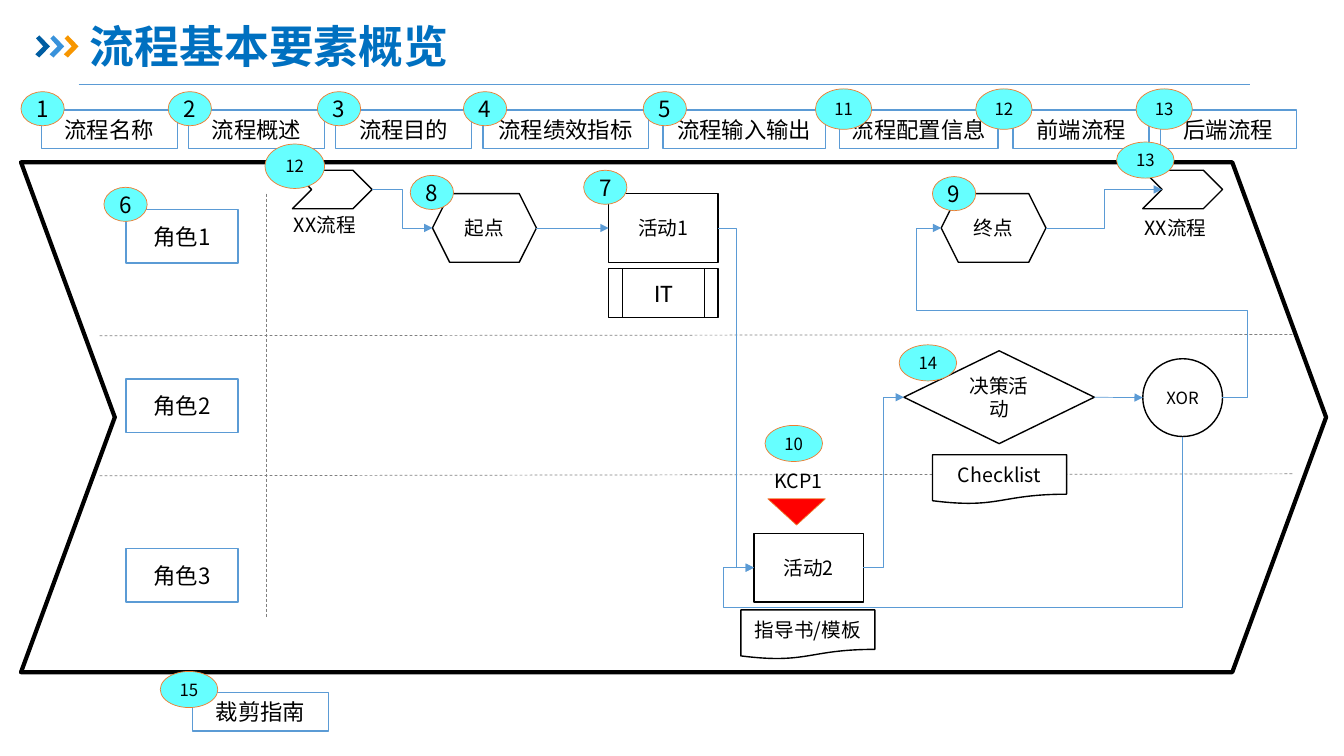
from dataclasses import dataclass
from lxml.etree import SubElement
from pptx import Presentation
from pptx.dml.color import RGBColor
from pptx.enum.dml import MSO_LINE
from pptx.enum.shapes import MSO_CONNECTOR, MSO_SHAPE
from pptx.enum.text import MSO_ANCHOR, MSO_AUTO_SIZE, PP_ALIGN
from pptx.oxml.ns import qn
from pptx.util import Cm, Pt


@dataclass(frozen=True)
class Theme:
    """Colours, fonts and type sizes."""
    black: str = "000000"
    white: str = "FFFFFF"
    title: str = "0070C0"
    blue: str = "5B9BD5"
    gray: str = "808080"
    cyan: str = "66FFFF"
    rust: str = "ED7D31"
    red: str = "FF0000"
    arrows: tuple = ("005DA2", "3992DB", "F79600")
    font: str = "Noto Sans CJK SC"
    latin: str = "Calibri"
    head: int = 32
    large: int = 18
    body: int = 16
    node: int = 14
    small: int = 12


T = Theme()
SMALL, WIDE, TALL = (1.09, 0.86), (1.45, 0.91), (1.42, 1.02)


def tint(hue):
    """Turn a hex string into a colour."""
    return RGBColor.from_string(hue)


def write(frame, text, size, hue=T.black, font=T.font, align=PP_ALIGN.CENTER, bold=False, pad=None):
    """Fill a text frame with one formatted paragraph."""
    look = {"word_wrap": True, "vertical_anchor": MSO_ANCHOR.MIDDLE}
    if pad is not None:
        look.update(margin_left=pad, margin_right=pad)
    for key, value in look.items():
        setattr(frame, key, value)
    para = frame.paragraphs[0]
    para.alignment = align
    run = para.add_run()
    run.text = text
    for key, value in {"size": Pt(size), "name": font, "bold": bold}.items():
        setattr(run.font, key, value)
    run.font.color.rgb = tint(hue)
    SubElement(run.font._element, qn("a:ea")).set("typeface", font)
    return para


def paint(shape, fill=T.white, line=T.black, width=1):
    """Set fill and outline, and drop the shadow."""
    shape.shadow.inherit = False
    if fill:
        shape.fill.solid()
        shape.fill.fore_color.rgb = tint(fill)
    else:
        shape.fill.background()
    if line:
        shape.line.color.rgb = tint(line)
        shape.line.width = Pt(width)
    else:
        shape.line.fill.background()


def block(slide, kind, box, text="", size=T.node, font=T.font, pad=None, **look):
    """Add a preset shape with centred text."""
    shape = slide.shapes.add_shape(kind, *map(Cm, box))
    paint(shape, **look)
    if text:
        write(shape.text_frame, text, size, font=font, pad=pad)
    return shape


def badge(slide, num, x, y, dims=None):
    """Add a numbered oval, wider for two digits."""
    one = len(num) == 1
    dims = dims or (SMALL if one else WIDE)
    block(slide, MSO_SHAPE.FLOWCHART_CONNECTOR, (x, y, *dims), num,
          T.body if one else T.small, pad=0, fill=T.cyan, line=T.rust, width=0.5)


def label(slide, text, x, y, align=PP_ALIGN.LEFT):
    """Add a small caption."""
    area = slide.shapes.add_textbox(*map(Cm, (x, y, 2.46, 0.86)))
    write(area.text_frame, text, T.node, align=align)


def style(link, hue, dash=None, arrow=False):
    """Format a line, with an arrowhead if asked."""
    for key, value in {"width": Pt(0.5), "dash_style": dash}.items():
        setattr(link.line, key, value)
    link.line.color.rgb = tint(hue)
    props = link.element.spPr
    if arrow:
        SubElement(props.find(qn("a:ln")), qn("a:tailEnd")).set("type", "triangle")
    SubElement(props, qn("a:effectLst"))


def rule(slide, ends, hue, dash=None):
    """Draw a plain straight line."""
    style(slide.shapes.add_connector(MSO_CONNECTOR.STRAIGHT, *map(Cm, ends)), hue, dash)


def site(shape, side):
    """Give the joint number of a side for the shape's outline."""
    rings = {MSO_SHAPE.HEXAGON: {1: 3, 3: 0},
             MSO_SHAPE.FLOWCHART_CONNECTOR: {1: 2, 2: 4, 3: 6}}
    return str(rings.get(shape.auto_shape_type, {}).get(side, side))


def join(slide, start, out, goal, bent=True, bends=(), turn=False):
    """Link one side of a node to the left of the next."""
    kind = MSO_CONNECTOR.ELBOW if bent else MSO_CONNECTOR.STRAIGHT
    link = slide.shapes.add_connector(kind, 0, 0, 0, 0)
    link.begin_connect(start, out)
    link.end_connect(goal, 1)
    joints = link.element.nvCxnSpPr.cNvCxnSpPr
    joints.stCxn.set("idx", site(start, out))
    joints.endCxn.set("idx", site(goal, 1))
    if goal.auto_shape_type == MSO_SHAPE.CHEVRON:
        link.end_x = goal.left + goal.height // 2
    props = link.element.spPr
    if bends:
        geom = props.find(qn("a:prstGeom"))
        geom.set("prst", f"bentConnector{len(bends) + 2}")
        for num, bend in enumerate(bends, 1):
            guide = SubElement(geom.find(qn("a:avLst")), qn("a:gd"))
            guide.set("name", f"adj{num}")
            guide.set("fmla", f"val {bend}")
    if turn:
        wide, high = link.width, link.height
        place = {"left": link.left + (wide - high) // 2, "top": link.top + (high - wide) // 2,
                 "width": high, "height": wide}
        for key, value in place.items():
            setattr(link, key, value)
        frame = props.find(qn("a:xfrm"))
        frame.attrib.pop("flipH", None)
        frame.set("rot", "5400000")
    style(link, T.blue, arrow=True)


def header(slide, box):
    """Place the title, its rule and the three arrows."""
    x, y, w, h = box
    rule(slide, (x + 1.09, y + 1.65, x + 30.61, y + 1.65), T.blue)
    marks = ((0.02, 0.08), (0.1, 0), (0.37, 0.28), (0.1, 0.56), (0, 0.48), (0.2, 0.28))
    for step, hue in enumerate(T.arrows):
        dots = [(Cm(x + 0.36 * step + a), Cm(y + 0.41 + b)) for a, b in marks]
        path = slide.shapes.build_freeform(*dots[0])
        path.add_line_segments(dots[1:])
        paint(path.convert_to_shape(), fill=hue, line=None)
    title = slide.shapes.title
    place = {"left": x + 1.12, "top": y, "width": w - 1.12, "height": h}
    for key, value in place.items():
        setattr(title, key, Cm(value))
    title.text_frame.auto_size = MSO_AUTO_SIZE.NONE
    para = write(title.text_frame, "流程基本要素概览", T.head, T.title,
                 align=PP_ALIGN.LEFT, bold=True)
    para.line_spacing = 0.9


def strip(slide, box, items):
    """Place a row of boxes, each with a badge on its corner."""
    x, y, w, h = box
    for num, text, left, wide, shift, dims in items:
        block(slide, MSO_SHAPE.RECTANGLE, (x + left, y, wide, h), text, T.body, line=T.blue)
    for num, text, left, wide, shift, dims in items:
        badge(slide, num, x + left - shift, y - (0.46 if dims == SMALL else 0.53), dims)


def lanes(slide, box):
    """Place the role boxes and the dashed dividers."""
    x, y, w, h = box
    for a, b, c, d in ((1.98, 7.9, 32.06, 7.85), (1.98, 4.37, 32.06, 4.34),
                       (6.18, 0.79, 6.18, 11.48)):
        rule(slide, (x + a, y + b, x + c, y + d), T.gray, MSO_LINE.DASH)
    for row in range(3):
        block(slide, MSO_SHAPE.RECTANGLE, (x + 2.65, y + 1.19 + 4.27 * row, 2.82, 1.35),
              f"角色{row + 1}", T.body, line=T.blue)


def flow(slide, box):
    """Place the nodes, links, outer frame and badges."""
    x, y, w, h = box
    S = MSO_SHAPE
    nodes = {
        "enter": (S.CHEVRON, 6.84, 0.2, 2.01, 0.97, ""),
        "start": (S.HEXAGON, 10.37, 0.79, 2.62, 1.73, "起点"),
        "first": (S.FLOWCHART_PROCESS, 14.81, 0.79, 2.76, 1.73, "活动1"),
        "next": (S.FLOWCHART_PROCESS, 18.47, 9.35, 2.76, 1.73, "活动2"),
        "end": (S.HEXAGON, 23.19, 0.79, 2.64, 1.73, "终点"),
        "leave": (S.CHEVRON, 28.27, 0.2, 2.01, 0.97, ""),
        "choice": (S.FLOWCHART_DECISION, 22.25, 4.75, 4.8, 2.34, "决策活动"),
        "gate": (S.FLOWCHART_CONNECTOR, 28.27, 4.95, 2.01, 1.96, "XOR", T.small),
        "guide": (S.FLOWCHART_DOCUMENT, 18.14, 11.28, 3.38, 1.24, "指导书/模板"),
        "tool": (S.FLOWCHART_PREDEFINED_PROCESS, 14.81, 2.67, 2.76, 1.24, "IT", T.large, T.latin),
        "check": (S.FLOWCHART_DOCUMENT, 22.97, 7.37, 3.38, 1.24, "Checklist"),
    }
    made = {name: block(slide, kind, (x + a, y + b, c, d), *text)
            for name, (kind, a, b, c, d, *text) in nodes.items()}
    label(slide, "XX流程", x + 6.63, y + 1.14)
    label(slide, "XX流程", x + 28.07, y + 1.22)
    label(slide, "KCP1", x + 18.37, y + 7.59, PP_ALIGN.CENTER)
    flag = block(slide, S.FLOWCHART_EXTRACT, (x + 18.82, y + 8.48, 1.45, 0.66),
                 fill=T.red, line=T.rust, width=0.5)
    flag.rotation = 180
    for start, out, goal, *rest in (
            ("start", 3, "first", False), ("first", 3, "next"), ("next", 3, "choice"),
            ("choice", 3, "gate", False), ("gate", 3, "end", True, (-8900, 51300, 108900)),
            ("gate", 2, "next", True, (129900, 107100), True),
            ("end", 3, "leave"), ("enter", 3, "start")):
        join(slide, made[start], out, made[goal], *rest)
    frame = block(slide, S.CHEVRON, box, fill=None, width=3)
    frame.adjustments[0] = 0.184
    for num, a, b, *dims in (
            ("6", 2.09, 0.63), ("12", 6.15, -0.46, (1.5, 1.12)), ("8", 9.81, 0.33),
            ("7", 14.18, 0.2), ("9", 22.97, 0.36), ("13", 27.61, -0.51),
            ("10", 18.75, 6.63), ("14", 22.13, 4.6)):
        badge(slide, num, x + a, y + b, *dims)


def main():
    """Build the slide and save it."""
    deck = Presentation()
    deck.slide_width, deck.slide_height = Cm(33.87), Cm(19.05)
    slide = deck.slides.add_slide(deck.slide_layouts[5])
    header(slide, (0.89, 0.48, 30.33, 1.5))
    strip(slide, (1.04, 2.77, 31.63, 0.97), (
        ("1", "流程名称", 0, 3.43, 0.51, SMALL), ("2", "流程概述", 3.71, 3.43, 0.51, SMALL),
        ("3", "流程目的", 7.42, 3.43, 0.46, SMALL), ("4", "流程绩效指标", 11.13, 4.17, 0.49, SMALL),
        ("5", "流程输入输出", 15.67, 4.09, 0.5, SMALL), ("11", "流程配置信息", 20.12, 3.99, 0.61, TALL),
        ("12", "前端流程", 24.49, 3.43, 0.94, TALL), ("13", "后端流程", 28.2, 3.43, 0.61, TALL)))
    body = (0.53, 4.09, 32.89, 12.85)
    lanes(slide, body)
    flow(slide, body)
    strip(slide, (4.85, 17.45, 3.43, 0.97), (("15", "裁剪指南", 0, 3.43, 0.81, WIDE),))
    deck.save("out.pptx")


if __name__ == "__main__":
    main()
